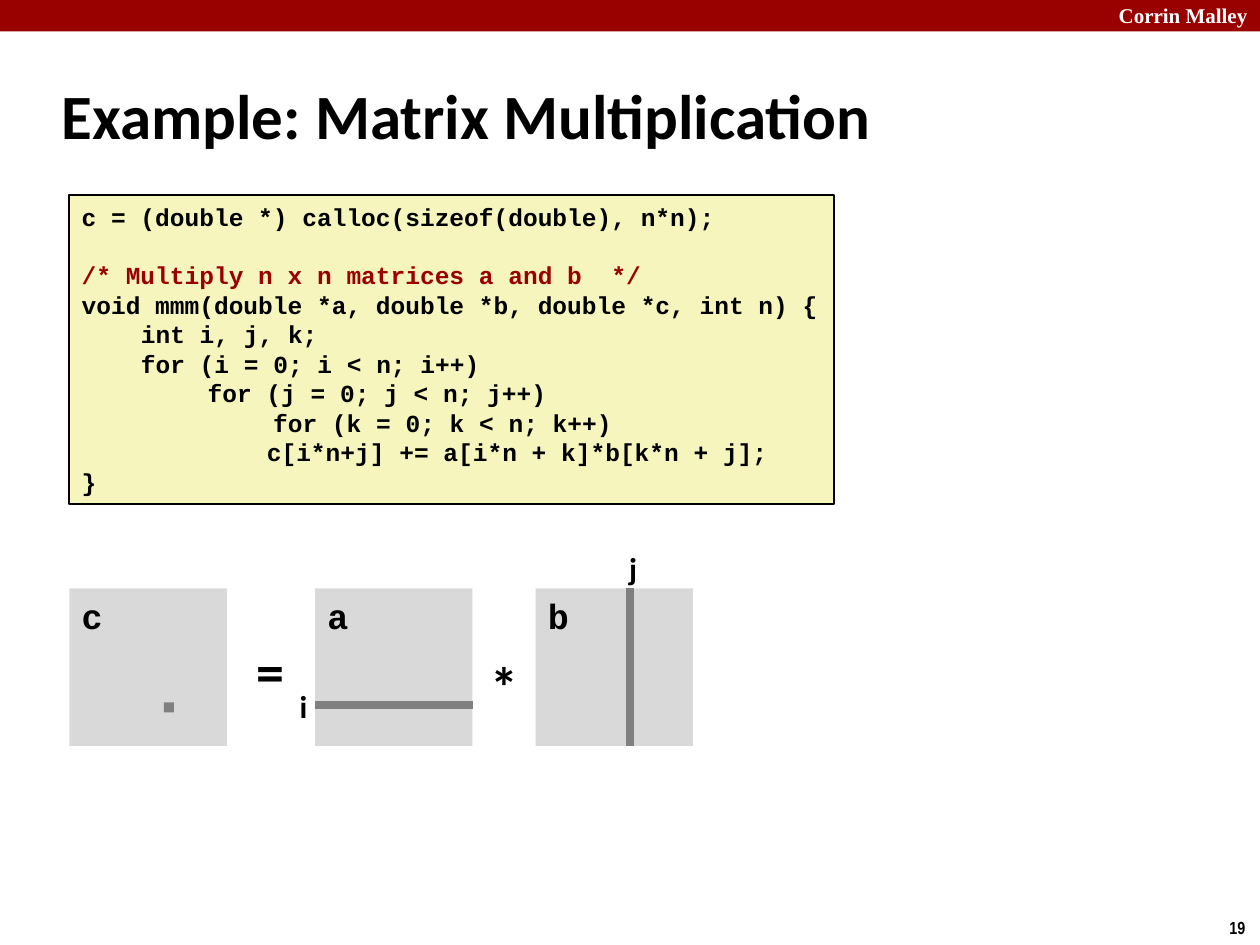
from dataclasses import dataclass

from lxml.etree import SubElement
from pptx import Presentation
from pptx.dml.color import RGBColor
from pptx.enum.shapes import MSO_CONNECTOR, MSO_SHAPE
from pptx.enum.text import MSO_ANCHOR, MSO_AUTO_SIZE, PP_ALIGN
from pptx.oxml.ns import qn
from pptx.util import Inches, Pt


@dataclass(frozen=True)
class Theme:
    red: str = "990000"
    black: str = "000000"
    white: str = "FFFFFF"
    cream: str = "F6F5BD"
    pale: str = "D9D9D9"
    gray: str = "808080"
    sans: str = "Calibri"
    mono: str = "Courier New"
    serif: str = "Times New Roman"
    narrow: str = "Arial Narrow"
    title: int = 36
    sign: int = 32
    name: int = 20
    index: int = 18
    code: int = 14
    brand: int = 12
    page: int = 10
    leading: float = 16.85


T = Theme()
WIDE, HIGH = 10, 7.5
LEFT = 0.55

TITLE = "Example: Matrix Multiplication"
BRAND = "Corrin Malley"
PAGE = "19"

# Indent in inches, text, colour, blank lines above
CODE = [
    (0, "c = (double *) calloc(sizeof(double), n*n);", T.black, 0),
    (0, "/* Multiply n x n matrices a and b  */", T.red, 1),
    (0, "void mmm(double *a, double *b, double *c, int n) {", T.black, 0),
    (0.47, "int i, j, k;", T.black, 0),
    (0.47, "for (i = 0; i < n; i++)", T.black, 0),
    (1, "for (j = 0; j < n; j++)", T.black, 0),
    (1.52, "for (k = 0; k < n; k++)", T.black, 0),
    (1.47, "c[i*n+j] += a[i*n + k]*b[k*n + j];", T.black, 0),
    (0, "}", T.black, 0),
]

SIDE, TOP = 1.25, 4.67
MATRICES = {"c": LEFT, "a": 2.5, "b": 4.25}
ROW, COL = TOP + 0.74 * SIDE, 0.6 * SIDE
DOT = 0.08

# Text, size, left, top, width, height
LABELS = [
    ("i", T.index, 2.28, 5.4, 0.26, 0.4),
    ("j", T.index, 4.89, 4.31, 0.27, 0.4),
    ("=", T.sign, 1.93, 5, 0.43, 0.64),
    ("*", T.sign, 3.79, 5.12, 0.43, 0.64),
]


def color(code):
    return RGBColor.from_string(code)


def write(para, text, font, size, tint=T.black):
    run = para.add_run()
    run.text = text
    run.font.name = font
    run.font.size = Pt(size)
    run.font.bold = True
    run.font.color.rgb = color(tint)


def add_box(slide, area, fill, edge=None):
    box = slide.shapes.add_shape(MSO_SHAPE.RECTANGLE, *map(Inches, area))
    box.shadow.inherit = False
    box.fill.solid()
    box.fill.fore_color.rgb = color(fill)
    if edge:
        box.line.color.rgb = color(edge)
        box.line.width = Pt(1)
    else:
        box.line.fill.background()
    frame = box.text_frame
    frame.vertical_anchor = MSO_ANCHOR.TOP
    frame.paragraphs[0].alignment = PP_ALIGN.LEFT
    return frame


def add_label(slide, area, text, font, size, tint=T.black, align=PP_ALIGN.LEFT):
    frame = slide.shapes.add_textbox(*map(Inches, area)).text_frame
    frame.word_wrap = False
    frame.paragraphs[0].alignment = align
    write(frame.paragraphs[0], text, font, size, tint)


def add_line(slide, *ends):
    line = slide.shapes.add_connector(MSO_CONNECTOR.STRAIGHT, *map(Inches, ends))
    line.line.color.rgb = color(T.gray)
    line.line.width = Pt(4.5)
    SubElement(line._element.spPr, qn("a:effectLst"))


def add_header(slide):
    add_box(slide, (0, 0, WIDE, 0.25), T.red)
    add_label(slide, (8.57, -0.03, 1.43, 0.3), BRAND, T.serif, T.brand, T.white, PP_ALIGN.RIGHT)
    add_label(slide, (9.66, 7.23, 0.34, 0.27), PAGE, T.narrow, T.page)
    title = slide.shapes.title
    title.left, title.top, title.width, title.height = map(Inches, (0.39, 0.49, 8.3, 0.83))
    frame = title.text_frame
    frame.auto_size = MSO_AUTO_SIZE.NONE
    frame.vertical_anchor = MSO_ANCHOR.MIDDLE
    frame.paragraphs[0].alignment = PP_ALIGN.LEFT
    write(frame.paragraphs[0], TITLE, T.sans, T.title)


def add_code(slide):
    frame = add_box(slide, (LEFT, 1.55, 6.07, 2.45), T.cream, T.black)
    frame.word_wrap = False
    for row, (indent, text, tint, gap) in enumerate(CODE):
        para = frame.add_paragraph() if row else frame.paragraphs[0]
        para.alignment = PP_ALIGN.LEFT
        para.line_spacing = Pt(T.leading)
        para.space_before = Pt(gap * T.leading)
        para._p.get_or_add_pPr().set("marL", str(Inches(indent)))
        write(para, text, T.mono, T.code, tint)


def add_product(slide):
    for name, left in MATRICES.items():
        frame = add_box(slide, (left, TOP, SIDE, SIDE), T.pale)
        write(frame.paragraphs[0], name, T.mono, T.name)
    across, down = MATRICES["a"], MATRICES["b"] + COL
    add_line(slide, across, ROW, across + SIDE, ROW)
    add_line(slide, down, TOP, down, TOP + SIDE)
    add_box(slide, (MATRICES["c"] + COL, ROW - DOT / 4, DOT, DOT), T.gray)
    for text, size, *area in LABELS:
        add_label(slide, area, text, T.sans, size, align=PP_ALIGN.CENTER)


def main():
    deck = Presentation()
    deck.slide_width, deck.slide_height = Inches(WIDE), Inches(HIGH)
    slide = deck.slides.add_slide(deck.slide_layouts[5])
    add_header(slide)
    add_code(slide)
    add_product(slide)
    deck.save("out.pptx")


if __name__ == "__main__":
    main()
